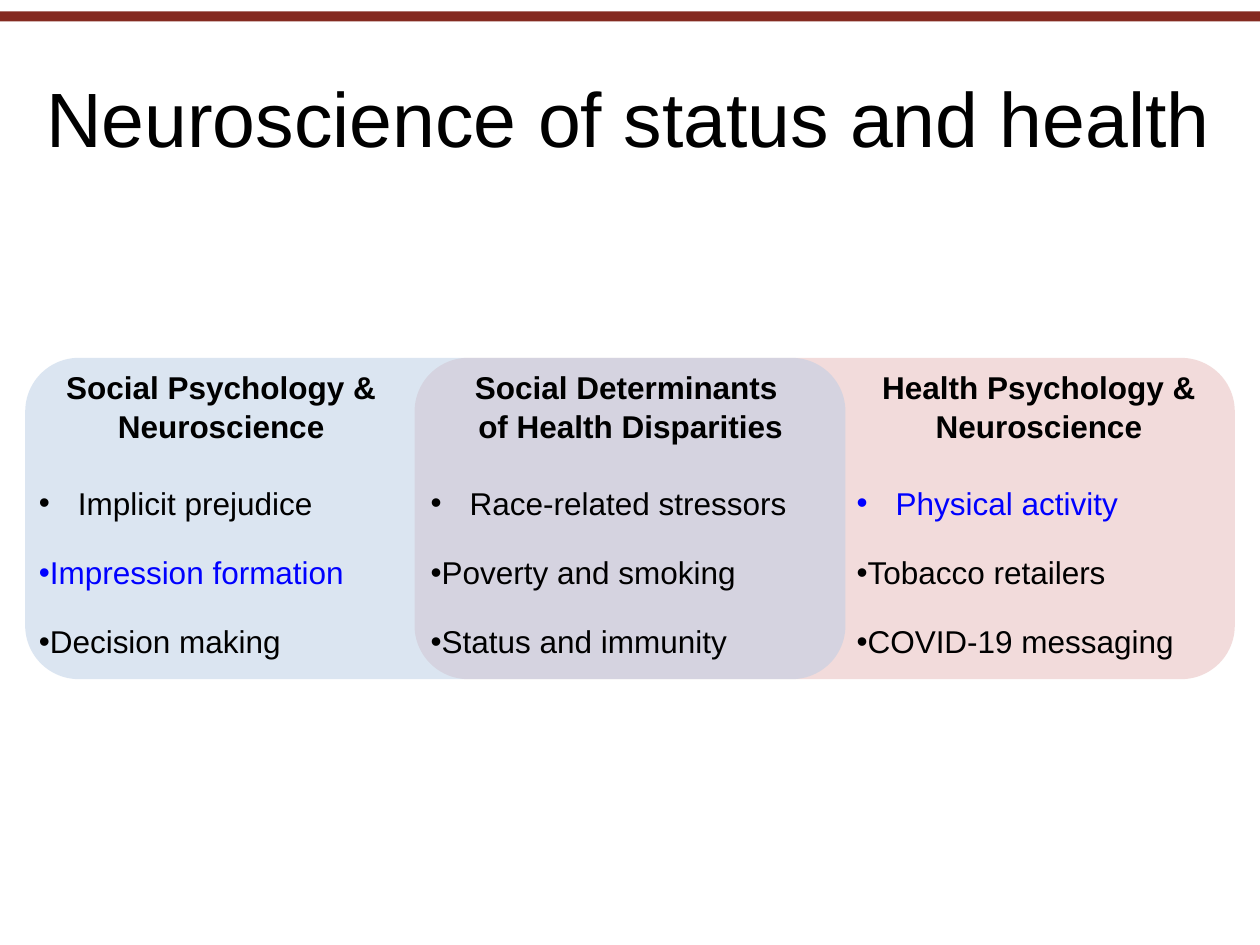
import pptx
import pptx.util
import pptx.dml.color
import pptx.enum.shapes
import pptx.enum.text
import pptx.oxml.ns
import lxml.etree

Inches, Pt = pptx.util.Inches, pptx.util.Pt
RGBColor = pptx.dml.color.RGBColor
Shape = pptx.enum.shapes.MSO_SHAPE
Align = pptx.enum.text.PP_ALIGN
Anchor = pptx.enum.text.MSO_ANCHOR
qn = pptx.oxml.ns.qn

BLACK = RGBColor(0x00, 0x00, 0x00)
BLUE = RGBColor(0x00, 0x00, 0xFF)
MAROON = RGBColor(0x84, 0x2A, 0x20)
PINK = RGBColor(0xE6, 0xB9, 0xB8)
SKY = RGBColor(0xB9, 0xCD, 0xE5)

INDENT = 0.31
LINE = 1.04

# Left, width, heading lines, bullets with colours
TOPICS = [
    (0.21, 3.09, ["Social Psychology & Neuroscience"],
     [("Implicit prejudice", BLACK), ("Impression formation", BLUE),
      ("Decision making", BLACK)]),
    (6.7, 3.09, ["Health Psychology & Neuroscience"],
     [("Physical activity", BLUE), ("Tobacco retailers", BLACK),
      ("COVID-19 messaging", BLACK)]),
    (3.32, 3.37, ["Social Determinants ", "of Health Disparities"],
     [("Race-related stressors", BLACK), ("Poverty and smoking", BLACK),
      ("Status and immunity", BLACK)]),
]


def add_bullet(para, margin):
    props = para._p.get_or_add_pPr()
    props.set("marL", str(Inches(margin)))
    props.set("indent", str(-Inches(INDENT)))
    lxml.etree.SubElement(props, qn("a:buFont")).set("typeface", "Arial")
    lxml.etree.SubElement(props, qn("a:buChar")).set("char", "•")


def add_text(frame, text, size=18, color=BLACK, bold=False,
             align=Align.LEFT, before=0, margin=None, line=None):
    """Fill the empty first paragraph, or append one; a margin adds a bullet."""
    first = frame.paragraphs[0]
    para = frame.add_paragraph() if first.runs else first
    if margin is not None:
        add_bullet(para, margin)
    para.alignment = align
    if before:
        para.space_before = Pt(before)
    if line:
        para.line_spacing = line
    run = para.add_run()
    run.text = text
    run.font.name = "Arial"
    run.font.size = Pt(size)
    run.font.bold = bold
    run.font.color.rgb = color


def add_frame(slide, left, top, width, height):
    box = slide.shapes.add_textbox(
        Inches(left), Inches(top), Inches(width), Inches(height))
    box.text_frame.word_wrap = True
    return box.text_frame


def add_block(slide, kind, left, top, width, height, color, alpha=None):
    block = slide.shapes.add_shape(
        kind, Inches(left), Inches(top), Inches(width), Inches(height))
    block.shadow.inherit = False
    block.line.fill.background()
    block.fill.solid()
    block.fill.fore_color.rgb = color
    if alpha:
        tint = block._element.spPr.find(".//" + qn("a:srgbClr"))
        lxml.etree.SubElement(tint, qn("a:alpha")).set("val", str(alpha * 1000))


def add_title(slide, left, top, width, height):
    frame = add_frame(slide, left, top, width, height)
    frame.vertical_anchor = Anchor.MIDDLE
    add_text(frame, "Neuroscience of status and health", size=44,
             align=Align.CENTER)


def add_topic(slide, left, top, width, height, heads, items):
    frame = add_frame(slide, left, top, width, height)
    for head in heads:
        add_text(frame, head, bold=True, align=Align.CENTER, line=LINE)
    for i, (item, color) in enumerate(items):
        add_text(frame, item, color=color, line=LINE,
                 before=17 if i else 21.5, margin=0 if i else INDENT)


def main():
    deck = pptx.Presentation()
    deck.slide_width, deck.slide_height = Inches(10), Inches(7.5)
    slide = deck.slides.add_slide(deck.slide_layouts[6])
    for left, color in ((3.29, PINK), (0.2, SKY)):
        add_block(slide, Shape.ROUNDED_RECTANGLE, left, 2.84, 6.51, 2.55,
                  color, alpha=50)
    add_title(slide, 0.2, 0.3, 9.58, 1.25)
    add_block(slide, Shape.RECTANGLE, -0.01, 0.09, 10.5, 0.08, MAROON)
    for left, width, heads, items in TOPICS:
        add_topic(slide, left, 2.86, width, 2.5, heads, items)
    deck.save("out.pptx")


if __name__ == "__main__":
    main()
